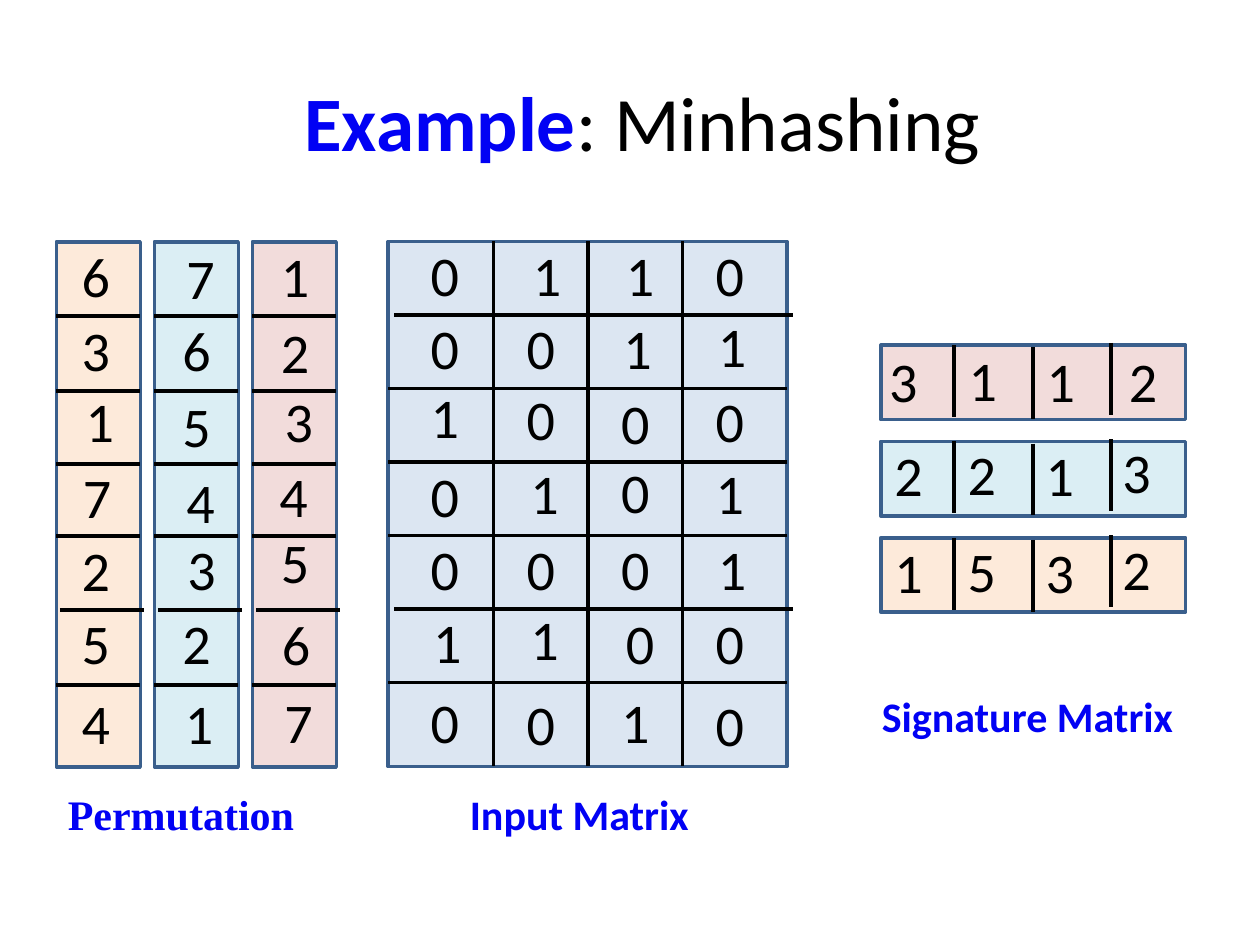
from dataclasses import dataclass

from lxml.etree import SubElement
from pptx import Presentation
from pptx.dml.color import RGBColor
from pptx.enum.shapes import MSO_CONNECTOR, MSO_SHAPE
from pptx.enum.text import MSO_ANCHOR, MSO_AUTO_SIZE, PP_ALIGN
from pptx.oxml.ns import qn
from pptx.shapes.shapetree import GroupShapes, SlideShapes
from pptx.util import Pt

COLOURS = {
    "blue": "0101F4",
    "black": "000000",
    "outline": "3A5F8C",
    "ice": "DCE6F2",
    "peach": "FDEADA",
    "aqua": "DBEEF4",
    "rose": "F2DCDB",
}
DIGIT_FORMAT = {"name": "Calibri", "size": Pt(32), "bold": False}
TITLE_FORMAT = {"name": "Calibri", "size": Pt(44), "bold": False}
CAPTION_FORMAT = {"name": "Calibri", "size": Pt(24), "bold": True}
DIGIT_WIDTHS = {"1": 28.8, "3": 29.5, "7": 28}
DIGIT_WIDTH, DIGIT_HEIGHT = 31, 46


@dataclass(frozen=True)
class Box:
    left: float
    top: float
    width: float
    height: float


@dataclass(frozen=True)
class Run:
    text: str
    colour: str
    format: dict


@dataclass(frozen=True)
class Rule:
    left: float
    top: float
    right: float
    bottom: float


@dataclass(frozen=True)
class Digit:
    text: str
    left: float
    top: float


@dataclass(frozen=True)
class Panel:
    box: Box
    fill: str
    rules: list[Rule]
    digits: list[Digit]


@dataclass(frozen=True)
class Caption:
    text: str
    box: Box
    font: str


def rgb(name: str) -> RGBColor:
    return RGBColor.from_string(COLOURS[name])


def place_digits(text: str, lefts: list[float], tops: list[float]) -> list[Digit]:
    return [Digit(*item) for item in zip(text, lefts, tops)]


def row_rules(box: Box, tops: list[float], shifts: dict[int, float]) -> list[Rule]:
    """Horizontal rules across a box; shifts moves chosen rules to the right."""
    rules = []
    for row, top in enumerate(tops, start=1):
        left = box.left + shifts.get(row, 0)
        rules.append(Rule(left, top, left + box.width, top))
    return rules


def permutation(index: int, fill: str, text: str,
                lefts: list[float], tops: list[float]) -> Panel:
    box = Box(32.2 + 56 * index, 138.2, 48, 300)
    rules = row_rules(box, [180.5, 223.7, 265, 306.5, 348.5, 391.5], {5: 2})
    return Panel(box, fill, rules, place_digits(text, lefts, tops))


def input_matrix() -> Panel:
    box = Box(221.8, 138, 228, 300)
    rules = row_rules(box, [138 + 42 * row for row in range(1, 7)], {1: 3.6, 5: 3.6})
    rules += [Rule(x, 138, x, 438) for x in (282, 336, 390)]
    rows = [
        ("0110", [239, 297.4, 350.6, 401.8], [134, 134, 134, 134]),
        ("0011", [239, 293.8, 349.2, 403.2], [175.7, 175.7, 175.7, 174.2]),
        ("1000", [239, 293.8, 347.8, 401.8], [215.3, 216, 218.2, 217.4]),
        ("0101", [239, 296, 347.8, 401.8], [260, 258.5, 257.8, 258.5]),
        ("0001", [239, 293.8, 347.8, 403.2], [301.7, 301.7, 301.7, 301.7]),
        ("1100", [240.5, 296, 350.6, 401.8], [343.4, 342, 344.2, 344.2]),
        ("0010", [239, 293.8, 347.8, 401.8], [389.5, 390.2, 389.5, 391]),
    ]
    return Panel(box, "ice", rules, [digit for row in rows for digit in place_digits(*row)])


def signature(index: int, fill: str, text: str,
              lefts: list[float], tops: list[float]) -> Panel:
    box = Box(503.3, 197.3 + 55 * index, 174.2, 42.5)
    rules = [
        Rule(x, box.top + offset, x, box.top + offset + 41)
        for x, offset in ((545, 0), (590.4, 1.2), (635, -1.4))
    ]
    return Panel(box, fill, rules, place_digits(text, lefts, tops))


PANELS = [
    input_matrix(),
    permutation(0, "peach", "6317254", [39.6, 39.6, 41.8, 40.3, 39.6, 39.6, 39.6],
                [134.6, 177, 217.4, 260.6, 302.4, 344, 390]),
    permutation(1, "aqua", "7654321", [99.4, 97.2, 97.2, 99.4, 100, 97.2, 98.6],
                [135.4, 177, 220.3, 263.5, 301.7, 344, 390]),
    permutation(2, "rose", "1234567", [153.4, 153.4, 155.5, 152.6, 153.4, 154, 155.5],
                [134.6, 177.8, 217.4, 260, 298, 345, 389.5]),
    signature(0, "rose", "3112", [501, 546.5, 591, 638], [194.4, 193.7, 194.4, 194.4]),
    signature(1, "aqua", "2213", [504, 545.8, 590.4, 634.3], [248.4, 247.7, 248.4, 246.2]),
    signature(2, "peach", "1532", [504, 545.8, 590.4, 634.3], [303.8, 303.1, 303.8, 301.7]),
]
CAPTIONS = [
    Caption("Input Matrix", Box(261.4, 447, 141, 36), "Calibri"),
    Caption("Signature Matrix", Box(496.8, 391, 182, 36), "Calibri"),
    Caption("Permutation", Box(31.7, 447, 144.7, 36), "Times New Roman"),
]


def add_text(shapes: SlideShapes | GroupShapes, box: Box, runs: list[Run]):
    text_box = shapes.add_textbox(Pt(box.left), Pt(box.top), Pt(box.width), Pt(box.height))
    frame = text_box.text_frame
    frame.word_wrap = False
    frame.auto_size = MSO_AUTO_SIZE.SHAPE_TO_FIT_TEXT
    for item in runs:
        run = frame.paragraphs[0].add_run()
        run.text = item.text
        run.font.color.rgb = rgb(item.colour)
        for attribute, value in item.format.items():
            setattr(run.font, attribute, value)
    return frame


def add_rule(shapes: GroupShapes, rule: Rule) -> None:
    connector = shapes.add_connector(MSO_CONNECTOR.STRAIGHT, Pt(rule.left), Pt(rule.top),
                                     Pt(rule.right), Pt(rule.bottom))
    connector.line.color.rgb = rgb("black")
    connector.line.width = Pt(2.25)
    SubElement(connector._element.spPr, qn("a:effectLst"))


def add_panel(shapes: SlideShapes, panel: Panel) -> None:
    group = shapes.add_group_shape().shapes
    box = panel.box
    shape = group.add_shape(MSO_SHAPE.RECTANGLE, Pt(box.left), Pt(box.top),
                            Pt(box.width), Pt(box.height))
    shape.shadow.inherit = False
    shape.fill.solid()
    shape.fill.fore_color.rgb = rgb(panel.fill)
    shape.line.color.rgb = rgb("outline")
    shape.line.width = Pt(2)
    for rule in panel.rules:
        add_rule(group, rule)
    for digit in panel.digits:
        width = DIGIT_WIDTHS.get(digit.text, DIGIT_WIDTH)
        add_text(group, Box(digit.left, digit.top, width, DIGIT_HEIGHT),
                 [Run(digit.text, "black", DIGIT_FORMAT)])


def add_title(shapes: SlideShapes) -> None:
    frame = add_text(shapes, Box(25.2, 36, 684, 66), [
        Run("Example", "blue", TITLE_FORMAT | {"bold": True}),
        Run(": Minhashing", "black", TITLE_FORMAT),
    ])
    frame.word_wrap = True
    frame.auto_size = MSO_AUTO_SIZE.NONE
    frame.vertical_anchor = MSO_ANCHOR.MIDDLE
    frame.paragraphs[0].alignment = PP_ALIGN.CENTER


def main() -> None:
    presentation = Presentation()
    presentation.slide_width, presentation.slide_height = Pt(720), Pt(540)
    slide = presentation.slides.add_slide(presentation.slide_layouts[6])
    add_title(slide.shapes)
    for panel in PANELS:
        add_panel(slide.shapes, panel)
    for caption in CAPTIONS:
        add_text(slide.shapes, caption.box,
                 [Run(caption.text, "blue", CAPTION_FORMAT | {"name": caption.font})])
    presentation.save("out.pptx")


if __name__ == "__main__":
    main()
